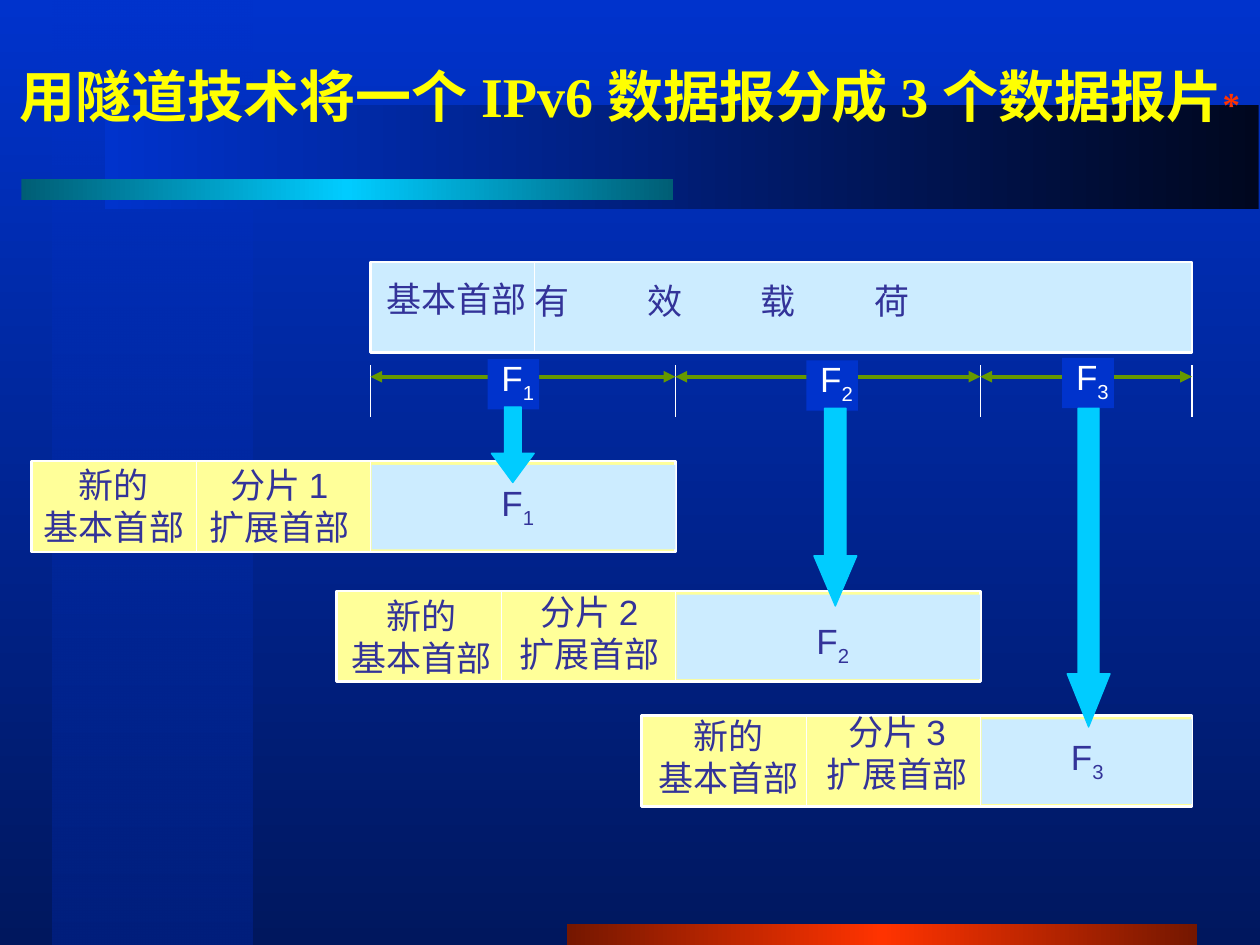
from lxml import etree
from pptx import Presentation
from pptx import util as u
from pptx.dml.color import RGBColor
from pptx.enum import shapes, text
from pptx.oxml.ns import qn

CELL = u.Inches(0.1)
COLUMNS, ROWS = 100, 75

WHITE = RGBColor(0xFF, 0xFF, 0xFF)
YELLOW = RGBColor(0xFF, 0xFF, 0x01)
RED = RGBColor(0xFF, 0x33, 0x00)
DARK_RED = RGBColor(0x75, 0x17, 0x00)
BLUE = RGBColor(0x00, 0x33, 0xCC)
DEEP_BLUE = RGBColor(0x00, 0x1F, 0x7D)
NAVY = RGBColor(0x00, 0x17, 0x5E)
BLACK_BLUE = RGBColor(0x00, 0x07, 0x1F)
CYAN = RGBColor(0x00, 0xCC, 0xFF)
TEAL = RGBColor(0x00, 0x5E, 0x75)
PALE_BLUE = RGBColor(0xCC, 0xEC, 0xFF)
PALE_YELLOW = RGBColor(0xFF, 0xFF, 0x99)
GREEN = RGBColor(0x66, 0x99, 0x00)
INK = RGBColor(0x33, 0x33, 0x99)

EDGES = [29.4, 53.6, 77.8, 94.6]
HEADER_WIDTH, EXTENSION_WIDTH = 13.1, 13.8
BAR_TOP, BAR_HEIGHT = 20.8, 7.2
BAR_SPLIT = 42.4
FRAGMENTS = [
    dict(top=36.6, badge=(38.7, 28.5), label=(38.8, 37.7), header=(2.5, 36.3),
         extension=(15.3, 36.3), arrow=(39, 32.3, 3.4, 6), head=(0.39, 0.68)),
    dict(top=46.9, badge=(64, 28.6), label=(63.8, 48.7), header=(26.9, 46.7),
         extension=(39.9, 46.4), arrow=(64.6, 32.4, 3.4, 15.7), head=(0.5, 1.17)),
    dict(top=56.8, badge=(84.3, 28.4), label=(84, 57.9), header=(51.3, 56.2),
         extension=(64.3, 55.9), arrow=(84.7, 32.4, 3.4, 25.3), head=(0.49, 1.24)),
]


def grid(*cells):
    return [round(cell * CELL) for cell in cells]


def apply(target, values):
    for name, value in values.items():
        setattr(target, name, value)


def gradient(fill, holder, colors, angle, first_alpha=None):
    fill.gradient()
    fill.gradient_angle = angle
    stops = holder.find(".//" + qn("a:gsLst"))
    stops.clear()
    for index, color in enumerate(colors):
        position = 100000 * index // (len(colors) - 1)
        stop = etree.SubElement(stops, qn("a:gs"), pos=str(position))
        tone = etree.SubElement(stop, qn("a:srgbClr"), val=str(color))
        if index == 0 and first_alpha:
            etree.SubElement(tone, qn("a:alpha"), val=str(first_alpha * 1000))


def block(slide, area, fill=None, line=None, width=0.75,
          preset=shapes.MSO_SHAPE.RECTANGLE):
    part = slide.shapes.add_shape(preset, *grid(*area))
    part.shadow.inherit = False
    if fill:
        part.fill.solid()
        part.fill.fore_color.rgb = fill
    if line:
        part.line.color.rgb = line
        part.line.width = u.Pt(width)
    else:
        part.line.fill.background()
    return part


def band(slide, area, colors, angle=180, first_alpha=None):
    part = block(slide, area)
    gradient(part.fill, part._element, colors, angle, first_alpha)


def rule(slide, start, end, color=WHITE, width=0.75, arrows=False):
    stroke = slide.shapes.add_connector(
        shapes.MSO_CONNECTOR.STRAIGHT, *grid(*start, *end))
    stroke.line.color.rgb = color
    stroke.line.width = u.Pt(width)
    if arrows:
        outline = stroke.line._get_or_add_ln()
        for end_tag in ("a:headEnd", "a:tailEnd"):
            etree.SubElement(outline, qn(end_tag), type="triangle")
    etree.SubElement(stroke._element.spPr, qn("a:effectLst"))


def caption(slide, area, lines, color=INK, wrap=False, align=text.PP_ALIGN.CENTER,
            anchor=text.MSO_ANCHOR.TOP, tabs=(), **style):
    frame = slide.shapes.add_textbox(*grid(*area)).text_frame
    apply(frame, dict(word_wrap=wrap, vertical_anchor=anchor))
    base = dict(size=u.Pt(20), name="Arial", bold=False) | style
    for index, runs in enumerate(lines):
        paragraph = frame.add_paragraph() if index else frame.paragraphs[0]
        paragraph.alignment = align
        if tabs:
            stops = etree.SubElement(paragraph._p.get_or_add_pPr(), qn("a:tabLst"))
            for stop in grid(*tabs):
                etree.SubElement(stops, qn("a:tab"), pos=str(stop), algn="l")
        for words, special in runs:
            run = paragraph.add_run()
            run.text = words
            values = base | special
            baseline = values.pop("baseline", None)
            tone = values.pop("tone", color)
            apply(run.font, values)
            run.font.color.rgb = tone
            if baseline:
                run._r.get_or_add_rPr().set("baseline", baseline)


def fragment_name(slide, corner, number, color=INK):
    caption(slide, (*corner, 4.6, 4.8),
            [[("F", {}), (str(number), dict(baseline="-25000"))]], color)


def backdrop(slide):
    gradient(slide.background.fill, slide.element, [BLUE, NAVY], 270)
    band(slide, (4.2, 0, 15.8, ROWS), [BLUE, DEEP_BLUE], 270, 50)
    band(slide, (45, 73.3, 50, 1.7), [DARK_RED, RED, DARK_RED])
    band(slide, (8.3, 8.3, 91.6, 8.3), [BLACK_BLUE, BLUE])
    band(slide, (1.7, 14.2, 51.7, 1.7), [TEAL, CYAN, TEAL])


def heading(slide):
    caption(slide, (0, 1.7, COLUMNS, 10.8),
            [[("用隧道技术将一个 IPv6 数据报分成 3 个数据报片", {}),
              ("*", dict(size=u.Pt(20), tone=RED)),
              (" ", dict(size=u.Pt(40)))]],
            YELLOW, wrap=True, anchor=text.MSO_ANCHOR.MIDDLE,
            size=u.Pt(32), name="Times New Roman", bold=True)


def datagram(slide):
    block(slide, (EDGES[0], BAR_TOP, EDGES[-1] - EDGES[0], BAR_HEIGHT),
          PALE_BLUE, WHITE, 1.5)
    rule(slide, (BAR_SPLIT, BAR_TOP), (BAR_SPLIT, BAR_TOP + BAR_HEIGHT))
    caption(slide, (29.7, 21.5, 13.1, 4.4), [[("基本首部", {})]])
    caption(slide, (41.4, 21.7, 54.9, 4.4), [[("有\t效\t载\t荷", {})]],
            wrap=True, align=text.PP_ALIGN.LEFT, tabs=(9, 18, 27))


def measure(slide):
    for edge in EDGES:
        rule(slide, (edge, 29), (edge, 33.1))
    for left, right in zip(EDGES, EDGES[1:]):
        rule(slide, (left, 29.9), (right, 29.9), GREEN, 2.25, arrows=True)


def fragment(slide, number, left, right, top, badge, label, header, extension,
             arrow, head):
    block(slide, (*badge, 4.1, 4), BLUE)
    fragment_name(slide, (badge[0] + 0.1, badge[1] - 0.7), number, WHITE)
    split = left - EXTENSION_WIDTH
    start = split - HEADER_WIDTH
    block(slide, (start, top, right - start, BAR_HEIGHT), PALE_YELLOW, WHITE, 1.5)
    block(slide, (left + 0.1, top + 0.3, right - left - 0.1, BAR_HEIGHT - 0.5),
          PALE_BLUE)
    for edge in (split, left):
        rule(slide, (edge, top), (edge, top + BAR_HEIGHT))
    caption(slide, (*header, HEADER_WIDTH, 7.7),
            [[("新的", {})], [("基本首部", {})]])
    caption(slide, (*extension, EXTENSION_WIDTH, 7.7),
            [[(f"分片 {number}", {})], [("扩展首部", {})]])
    pointer = block(slide, arrow, CYAN, CYAN, preset=shapes.MSO_SHAPE.DOWN_ARROW)
    for index, share in enumerate(head):
        pointer.adjustments[index] = share
    fragment_name(slide, label, number)


def main():
    deck = Presentation()
    apply(deck, dict(slide_width=COLUMNS * CELL, slide_height=ROWS * CELL))
    slide = deck.slides.add_slide(deck.slide_layouts[6])
    backdrop(slide)
    heading(slide)
    datagram(slide)
    measure(slide)
    for number, (left, right, parts) in enumerate(
            zip(EDGES, EDGES[1:], FRAGMENTS), 1):
        fragment(slide, number, left, right, **parts)
    deck.save("out.pptx")


if __name__ == "__main__":
    main()
